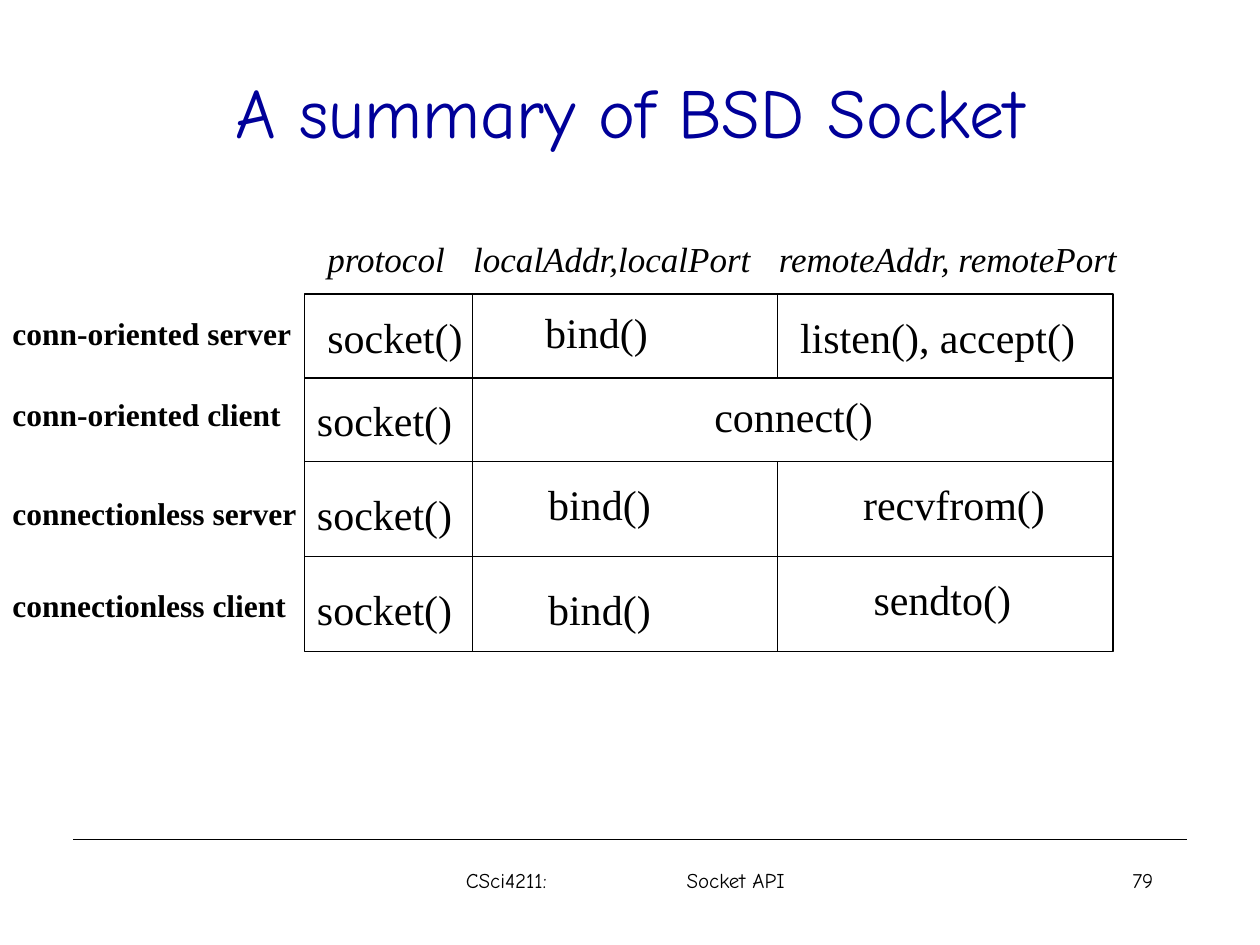
import pptx
import pptx.util
import pptx.dml.color
import pptx.enum.shapes
import pptx.enum.text
import pptx.oxml.ns
from lxml import etree

Cm = pptx.util.Cm
Pt = pptx.util.Pt
ALIGN = pptx.enum.text.PP_ALIGN
ANCHOR = pptx.enum.text.MSO_ANCHOR

COLORS = {"title": "000099", "ink": "000000"}
SANS = "Comic Neue"
SERIF = "Times New Roman"

ROW_LINES = [1.69, 3.38, 5.29]
PROTOCOL_EDGE = 3.39
REMOTE_EDGE = 9.53
HEADERS = [
    ("protocol", 0.21, 2.9),
    ("localAddr,localPort", 3.15, 6.17),
    ("remoteAddr, remotePort", 9.31, 7.44),
]
ROLES = [
    ("conn-oriented server", 0.27, 6.15),
    ("conn-oriented client", 1.9, 5.92),
    ("connectionless server", 3.91, 6.25),
    ("connectionless client", 5.76, 6.05),
]
CALLS = [
    ("socket()", 3.23, [(0.21, 0.22), (0, 1.9), (0, 3.8), (0, 5.71)]),
    ("bind()", 2.59, [(4.6, 0.12), (4.66, 3.6), (4.66, 5.71)]),
    ("listen(), accept()", 6.05, [(9.74, 0.22)]),
    ("connect()", 3.71, [(8.01, 1.82)]),
    ("recvfrom()", 4.17, [(11.01, 3.6)]),
    ("sendto()", 3.28, [(11.22, 5.5)]),
]


def rgb(name):
    return pptx.dml.color.RGBColor.from_string(COLORS[name])


def add_run(p, text, size, font, color="ink", bold=False, italic=False):
    r = p.add_run()
    r.text = text
    r.font.size = Pt(size)
    r.font.name = font
    r.font.bold = bold
    r.font.italic = italic
    r.font.color.rgb = rgb(color)


def add_text(s, box, text, size, font, align=ALIGN.LEFT, wrap=True,
             anchor=ANCHOR.TOP, **style):
    tf = s.shapes.add_textbox(*map(Cm, box)).text_frame
    tf.word_wrap = wrap
    tf.vertical_anchor = anchor
    if not wrap:
        tf.auto_size = pptx.enum.text.MSO_AUTO_SIZE.SHAPE_TO_FIT_TEXT
    p = tf.paragraphs[0]
    p.alignment = align
    add_run(p, text, size, font, **style)


def set_line(line):
    line.color.rgb = rgb("ink")
    line.width = Pt(0.75)


def add_line(s, x1, y1, x2, y2):
    connector = s.shapes.add_connector(pptx.enum.shapes.MSO_CONNECTOR.STRAIGHT,
                                       *map(Cm, (x1, y1, x2, y2)))
    set_line(connector.line)
    etree.SubElement(connector._element.spPr, pptx.oxml.ns.qn("a:effectLst"))


def add_title(s, box):
    add_text(s, box, "A summary of BSD Socket", 40, SANS, ALIGN.CENTER,
             anchor=ANCHOR.MIDDLE, color="title")


def add_grid(s, box):
    left, top, width, height = box
    frame = s.shapes.add_shape(pptx.enum.shapes.MSO_SHAPE.RECTANGLE, *map(Cm, box))
    frame.shadow.inherit = False
    frame.fill.background()
    set_line(frame.line)
    for y in ROW_LINES:
        add_line(s, left, top + y, left + width, top + y)
    for x, y1, y2 in [(PROTOCOL_EDGE, 0, height),
                      (REMOTE_EDGE, 0, ROW_LINES[0]),
                      (REMOTE_EDGE, ROW_LINES[1], height)]:
        add_line(s, left + x, top + y1, left + x, top + y2)


def add_summary(s, box):
    left, top, width, height = box
    add_grid(s, box)
    for call, w, places in CALLS:
        for dx, dy in places:
            add_text(s, (left + dx, top + dy, w, 1.27), call, 24, SERIF, wrap=False)
    for text, dx, w in HEADERS:
        add_text(s, (left + dx, top - 1.27, w, 1.09), text, 20, SERIF,
                 wrap=False, italic=True)
    for text, dy, w in ROLES:
        add_text(s, (0, top + dy, w, 1.02), text, 18, SERIF,
                 wrap=False, bold=True)


def add_footer(s, box):
    left, top, width, height = box
    add_line(s, left, top, left + width, top)

    text_top = top + 0.43
    tf = s.shapes.add_textbox(Cm(left + 7), Cm(text_top), Cm(8.26), Cm(1.27)).text_frame
    tf.word_wrap = True
    tf.margin_left = Cm(0.91)
    p = tf.paragraphs[0]
    tabs = etree.SubElement(p._p.get_or_add_pPr(), pptx.oxml.ns.qn("a:tabLst"))
    etree.SubElement(tabs, pptx.oxml.ns.qn("a:tab"), pos=str(Cm(4.45)), algn="l")
    add_run(p, "CSci4211:\tSocket API", 12, SANS)

    add_text(s, (left + 16.73, text_top, 5.29, 1.27), "79", 12, SANS, ALIGN.RIGHT)


def main():
    prs = pptx.Presentation()
    prs.slide_width, prs.slide_height = Cm(25.4), Cm(19.05)
    s = prs.slides.add_slide(prs.slide_layouts[6])
    add_footer(s, (1.48, 16.93, 22.44, 2.12))
    add_title(s, (1.91, 0.64, 21.59, 3.18))
    add_summary(s, (6.14, 5.93, 16.3, 7.2))
    prs.save("out.pptx")


if __name__ == "__main__":
    main()
